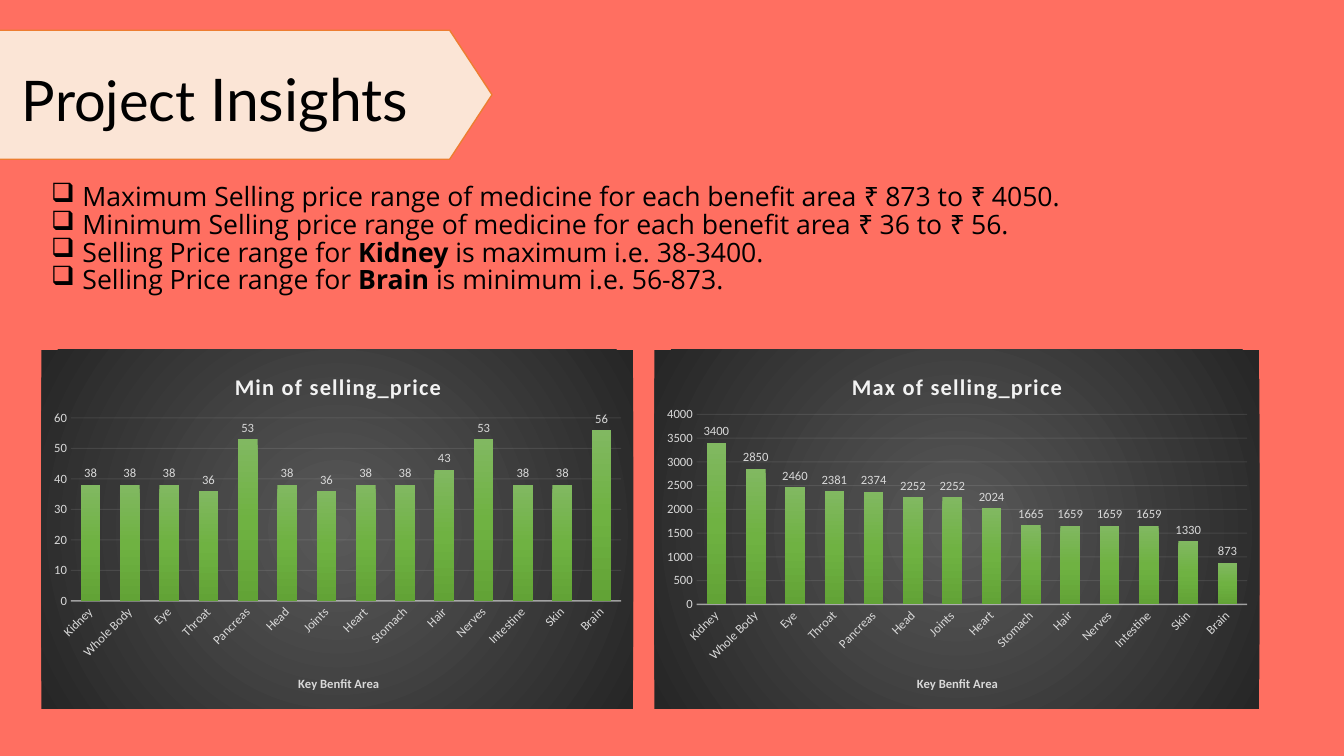
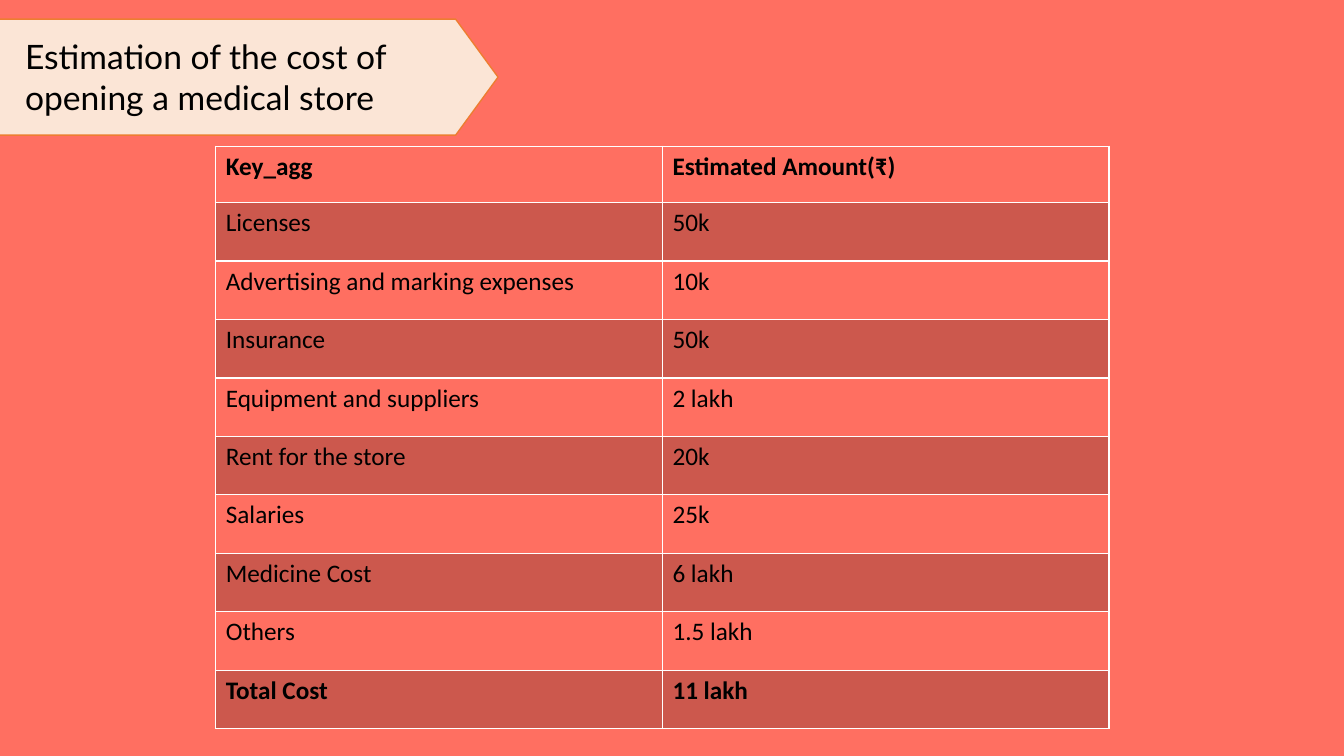
from dataclasses import dataclass
from lxml import etree
from pptx import Presentation
from pptx.chart.data import CategoryChartData as ChartData
from pptx.dml.color import RGBColor as RGB
from pptx.enum.chart import XL_CHART_TYPE as CT, XL_LABEL_POSITION as LP, XL_TICK_MARK as TM
from pptx.oxml import parse_xml
from pptx.oxml.ns import qn
from pptx.util import Inches, Pt

A = "http://schemas.openxmlformats.org/drawingml/2006/main"
C = "http://schemas.openxmlformats.org/drawingml/2006/chart"


@dataclass(frozen=True)
class Theme:
    bg: str = "FF6F61"
    banner: str = "FBE5D6"
    banner_line: str = "ED7D31"
    ink: str = "000000"
    border: str = "FFFFFF"
    chart_text: str = "D9D9D9"
    chart_light: str = "F2F2F2"
    panel: tuple = ((0, "595959"), (100, "262626"))
    bars: tuple = ((0, "81B861"), (50, "6FB242"), (100, "62A336"))
    title_font: str = "Lato"
    body_font: str = "Open Sans"
    data_font: str = "Calibri"
    title: int = 40
    title_big: int = 42
    title_small: int = 24
    body: int = 19
    cell: int = 18
    chart_title: int = 16
    chart_label: int = 9


T = Theme()


def style_font(font, face, size, color, bold=False):
    font.name, font.size, font.bold = face, Pt(size), bold
    font.color.rgb = RGB.from_string(color)


def add_text(p, text, face=T.data_font, size=T.cell, color=T.ink, bold=False):
    r = p.add_run()
    r.text = text
    style_font(r.font, face, size, color, bold)
    return r


def set_alpha(parent, percent):
    for clr in parent.iter(qn("a:srgbClr")):
        etree.SubElement(clr, qn("a:alpha")).set("val", str(percent * 1000))


def gradient(stops, direction):
    gs = "".join(f'<a:gs pos="{pos * 1000}"><a:srgbClr val="{c}"/></a:gs>' for pos, c in stops)
    return f'<a:gradFill xmlns:a="{A}" rotWithShape="1"><a:gsLst>{gs}</a:gsLst>{direction}</a:gradFill>'


def layout(x, y, w=None, h=None):
    inner = '<c:layoutTarget val="inner"/>' if w else ""
    modes = '<c:xMode val="edge"/><c:yMode val="edge"/>'
    sizes = zip("xywh", (x, y, w, h))
    values = "".join(f'<c:{k} val="{v}"/>' for k, v in sizes if v is not None)
    return parse_xml(f'<c:layout xmlns:c="{C}"><c:manualLayout>{inner}{modes}{values}'
                     "</c:manualLayout></c:layout>")


def set_layout(parent, *box):
    for old in parent.findall(qn("c:layout")):
        parent.remove(old)
    tx = parent.find(qn("c:tx"))
    parent.insert(0 if tx is None else 1, layout(*box))


class Deck:
    def __init__(self):
        self.prs = Presentation()
        self.prs.slide_width, self.prs.slide_height = Inches(13.33), Inches(7.5)
        self.s = None

    def slide(self):
        self.s = self.prs.slides.add_slide(self.prs.slide_layouts[6])
        fill = self.s.background.fill
        fill.solid()
        fill.fore_color.rgb = RGB.from_string(T.bg)

    def banner(self, top, right, height):
        left, point = -0.46, 0.42
        mid, bottom = top + height / 2, top + height
        outline = [(right - point, bottom), (right, mid), (right - point, top),
                   (left, top), (left + point, mid)]
        fb = self.s.shapes.build_freeform(Inches(left), Inches(bottom))
        fb.add_line_segments([(Inches(x), Inches(y)) for x, y in outline], close=True)
        sp = fb.convert_to_shape()
        sp.shadow.inherit = False
        sp.fill.solid()
        sp.fill.fore_color.rgb = RGB.from_string(T.banner)
        sp.line.color.rgb = RGB.from_string(T.banner_line)
        sp.line.width = Pt(1)

    def text(self, x, y, w, h, paragraphs, bullet=None, spacing=None, **fmt):
        sp = self.s.shapes.add_textbox(Inches(x), Inches(y), Inches(w), Inches(h))
        tf = sp.text_frame
        tf.word_wrap = True
        for i, runs in enumerate(paragraphs):
            p = tf.add_paragraph() if i else tf.paragraphs[0]
            p.line_spacing = spacing
            if bullet:
                pPr = p._p.get_or_add_pPr()
                pPr.set("marL", str(Inches(0.31)))
                pPr.set("indent", str(-Inches(0.31)))
                etree.SubElement(pPr, qn("a:buChar")).set("char", bullet)
            for text, own in runs:
                add_text(p, text, **{**fmt, **own})

    def chart(self, x, y, w, h, title, cats, vals, top, step, plot):
        data = ChartData()
        data.categories = cats
        data.add_series(title, vals)
        gf = self.s.shapes.add_chart(CT.COLUMN_CLUSTERED, Inches(x), Inches(y),
                                     Inches(w), Inches(h), data)
        ch = gf.chart
        style_font(ch.font, T.data_font, 10, T.ink)
        ch.has_legend = False
        ch.has_title = True
        r = add_text(ch.chart_title.text_frame.paragraphs[0], title,
                     size=T.chart_title, color=T.chart_light, bold=True)
        r._r.get_or_add_rPr().set("spc", "100")
        set_layout(ch.chart_title._element, 0.32, 0.05)
        self.axes(ch, top, step)
        self.columns(ch.plots[0])
        root = ch._chartSpace
        set_layout(root.find(qn("c:chart")).find(qn("c:plotArea")), *plot)
        center = ('<a:path path="circle"><a:fillToRect l="50000" t="50000" '
                  'r="50000" b="50000"/></a:path>')
        root.find(qn("c:chart")).addnext(parse_xml(
            f'<c:spPr xmlns:c="{C}" xmlns:a="{A}">{gradient(T.panel, center)}'
            "<a:ln><a:noFill/></a:ln></c:spPr>"))

    def axes(self, ch, top, step):
        cat, val = ch.category_axis, ch.value_axis
        for axis in (cat, val):
            axis.major_tick_mark = axis.minor_tick_mark = TM.NONE
            style_font(axis.tick_labels.font, T.data_font, T.chart_label, T.chart_text)
        val.minimum_scale, val.maximum_scale, val.major_unit = 0, top, step
        val.format.line.fill.background()
        val.has_major_gridlines = True
        for owner, width, alpha in ((cat, 1, 54), (val.major_gridlines, 0.75, 10)):
            line = owner.format.line
            line.width = Pt(width)
            line.color.rgb = RGB.from_string(T.chart_light)
            set_alpha(line._get_or_add_ln(), alpha)
        body = cat._element.find(qn("c:txPr")).find(qn("a:bodyPr"))
        body.set("rot", "-2700000")
        body.set("vert", "horz")
        cat.has_title = True
        add_text(cat.axis_title.text_frame.paragraphs[0], "Key Benfit Area",
                 size=T.chart_label, color=T.chart_text, bold=True)
        set_layout(cat.axis_title._element, 0.43, 0.9)

    def columns(self, plot):
        plot.gap_width, plot.overlap, plot.vary_by_categories = 100, -24, False
        plot.has_data_labels = True
        labels = plot.data_labels
        labels.show_value, labels.position = True, LP.OUTSIDE_END
        style_font(labels.font, T.data_font, T.chart_label, T.chart_text)
        ser = plot.series[0]
        ser.format.fill.solid()
        spPr = ser._element.find(qn("c:spPr"))
        down = '<a:lin ang="5400000" scaled="0"/>'
        spPr.replace(spPr.find(qn("a:solidFill")), parse_xml(gradient(T.bars, down)))

    def table(self, x, y, col_w, head_h, row_h, rows):
        n = len(rows)
        gf = self.s.shapes.add_table(n, 2, Inches(x), Inches(y), Inches(2 * col_w),
                                     Inches(head_h + row_h * (n - 1)))
        tb = gf.table
        tb.first_row = tb.horz_banding = False
        for col in tb.columns:
            col.width = Inches(col_w)
        for i, row in enumerate(rows):
            tb.rows[i].height = Inches(row_h if i else head_h)
            for j, text in enumerate(row):
                self.cell(tb.cell(i, j), text, shaded=i % 2 == 1, bold=i in (0, n - 1))

    def cell(self, cell, text, shaded, bold):
        add_text(cell.text_frame.paragraphs[0], text, bold=bold)
        tcPr = cell._tc.get_or_add_tcPr()
        if shaded:
            cell.fill.solid()
            cell.fill.fore_color.rgb = RGB.from_string(T.ink)
            set_alpha(tcPr, 20)
        else:
            cell.fill.background()
        for k, side in enumerate("LRTB"):
            tcPr.insert(k, parse_xml(
                f'<a:ln{side} xmlns:a="{A}" w="{Pt(1)}"><a:solidFill>'
                f'<a:srgbClr val="{T.border}"/></a:solidFill></a:ln{side}>'))


def insights(d):
    d.slide()
    d.banner(0.3, 4.88, 1.28)
    d.text(0.12, 0.57, 4.36, 0.81,
           [[("Project ", {}), ("Insights", {"size": T.title_big})]],
           face=T.title_font, size=T.title)
    area = "Selling price range of medicine for each benefit area"
    points = [[(f"Maximum {area} ₹ 873 to ₹ 4050.", {})],
              [(f"Minimum {area} ₹ 36 to ₹ 56.", {})]]
    for organ, tail in (("Kidney", " is maximum i.e. 38-3400."),
                        ("Brain", " is minimum i.e. 56-873.")):
        points.append([("Selling Price range for ", {}), (organ, {"bold": True}), (tail, {})])
    d.text(0.41, 1.78, 10.54, 1.38, points, bullet="❑", spacing=0.87,
           face=T.body_font, size=T.body)
    areas = ["Kidney", "Whole Body", "Eye", "Throat", "Pancreas", "Head", "Joints",
             "Heart", "Stomach", "Hair", "Nerves", "Intestine", "Skin", "Brain"]
    lows = [38, 38, 38, 36, 53, 38, 36, 38, 38, 43, 53, 38, 38, 56]
    highs = [3400, 2850, 2460, 2381, 2374, 2252, 2252, 2024, 1665, 1659, 1659, 1659, 1330, 873]
    d.chart(0.41, 3.47, 5.87, 3.56, "Min of selling_price", areas, lows, 60, 10,
            (0.05, 0.19, 0.93, 0.51))
    d.chart(6.49, 3.47, 6, 3.56, "Max of selling_price", areas, highs, 4000, 500,
            (0.07, 0.18, 0.91, 0.53))


def costs(d):
    d.slide()
    d.table(2.14, 1.45, 4.43, 0.56, 0.58, [
        ("Key_agg", "Estimated Amount(₹)"),
        ("Licenses", "50k"),
        ("Advertising and marking expenses", "10k"),
        ("Insurance", "50k"),
        ("Equipment and suppliers", "2 lakh"),
        ("Rent for the store", "20k"),
        ("Salaries", "25k"),
        ("Medicine Cost", "6 lakh"),
        ("Others", "1.5 lakh"),
        ("Total Cost", "11 lakh"),
    ])
    d.banner(0.19, 4.94, 1.15)
    d.text(0.15, 0.31, 4.79, 0.91,
           [[("Estimation of the cost of opening a medical store", {})]],
           face=T.title_font, size=T.title_small)


deck = Deck()
insights(deck)
costs(deck)
deck.prs.save("out.pptx")
